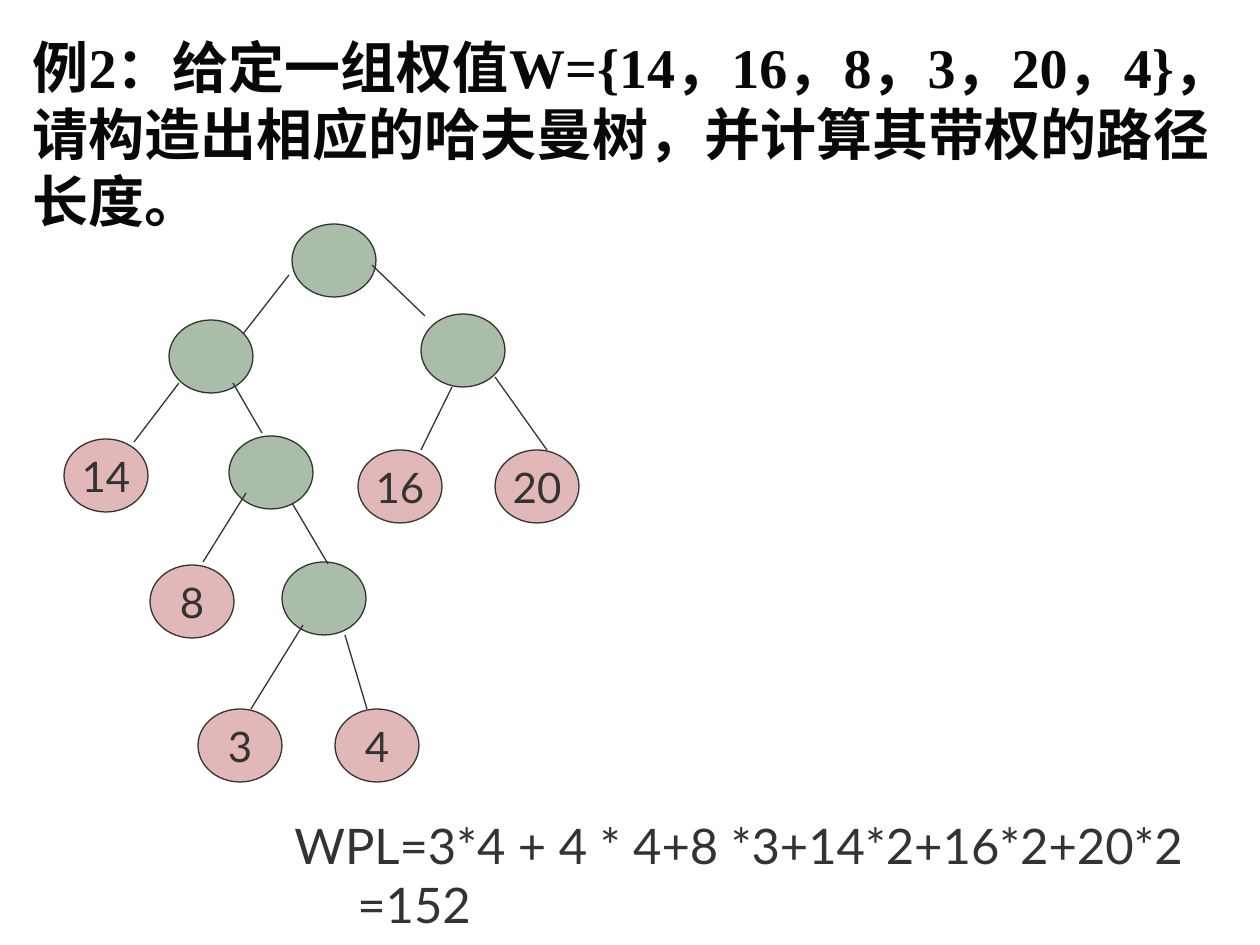
from lxml import etree
from pptx import Presentation
from pptx.dml.color import RGBColor
from pptx.enum.shapes import MSO_CONNECTOR, MSO_SHAPE
from pptx.enum.text import MSO_ANCHOR, MSO_AUTO_SIZE, PP_ALIGN
from pptx.oxml.ns import qn
from pptx.util import Pt

PX = 914400 / 126
BLACK = RGBColor(0x08, 0x08, 0x08)
GREY = RGBColor(0x33, 0x33, 0x33)
PINK = RGBColor(0xE1, 0xB7, 0xB7)
GREEN = RGBColor(0xA9, 0xBD, 0xA9)
OVAL = MSO_SHAPE.OVAL
STRAIGHT = MSO_CONNECTOR.STRAIGHT
TOP, MIDDLE = MSO_ANCHOR.TOP, MSO_ANCHOR.MIDDLE
LEFT, CENTER = PP_ALIGN.LEFT, PP_ALIGN.CENTER

TITLE_FONT = {"name": "Times New Roman", "size": Pt(32), "bold": True}
NODE_FONT = {"name": "Lato", "size": Pt(24)}
RESULT_FONT = {"name": "Lato", "size": Pt(28)}
NODE_W, NODE_H = 84, 73
RESULT_INDENT = 63


def emu(*lengths):
    """Turn px lengths into EMU."""
    return [round(length * PX) for length in lengths]


def write(paragraph, text, font_values, color, align):
    paragraph.text = text
    paragraph.alignment = align
    for attribute, value in font_values.items():
        setattr(paragraph.font, attribute, value)
    paragraph.font.color.rgb = color


prs = Presentation()
prs.slide_width, prs.slide_height = emu(1260, 945)
slide = prs.slides.add_slide(prs.slide_layouts[5])
shapes = slide.shapes

# Problem statement
question = shapes.title
question.left, question.top, question.width, question.height = emu(20, 26, 1240, 214)
question.text_frame.vertical_anchor = TOP
question.text_frame.auto_size = MSO_AUTO_SIZE.NONE
write(question.text_frame.paragraphs[0],
      "例2：给定一组权值W={14，16，8，3，20，4}，请构造出相应的哈夫曼树，并计算其带权的路径长度。",
      TITLE_FONT, BLACK, LEFT)

# Weighted path length
answer = shapes.add_textbox(*emu(282, 809, 971, 130)).text_frame
answer.word_wrap = False
write(answer.paragraphs[0], "WPL=3*4 + 4 * 4+8 *3+14*2+16*2+20*2", RESULT_FONT, GREY, LEFT)
total = answer.add_paragraph()
total._p.get_or_add_pPr().set("marL", str(emu(RESULT_INDENT)[0]))
write(total, "=152", RESULT_FONT, GREY, LEFT)

# Huffman tree: weighted leaves, then inner nodes without a label
nodes = [
    ("3", 198, 709), ("4", 335, 709), ("8", 150, 565),
    ("20", 495, 450), ("16", 358, 450), ("14", 64, 439),
    ("", 169, 320), ("", 421, 314), ("", 292, 224), ("", 229, 436), ("", 282, 562),
]
for weight, x, y in nodes:
    node = shapes.add_shape(OVAL, *emu(x, y, NODE_W, NODE_H))
    node.shadow.inherit = False
    node.fill.solid()
    node.fill.fore_color.rgb = PINK if weight else GREEN
    node.line.color.rgb = GREY
    node.line.width = Pt(0.75)
    if weight:
        node.text_frame.word_wrap = False
        node.text_frame.vertical_anchor = MIDDLE
        write(node.text_frame.paragraphs[0], weight, NODE_FONT, GREY, CENTER)

# Branches, each from child to parent
branches = [
    (251, 709, 303, 625), (367, 709, 345, 635), (328, 564, 292, 503),
    (203, 562, 246, 493), (134, 442, 179, 383), (262, 433, 233, 383),
    (421, 450, 452, 387), (547, 450, 495, 377), (425, 316, 372, 265),
    (243, 334, 289, 275),
]
for ends in branches:
    branch = shapes.add_connector(STRAIGHT, *emu(*ends))
    branch.line.color.rgb = GREY
    branch.line.width = Pt(0.75)
    etree.SubElement(branch._element.spPr, qn("a:effectLst"))

prs.save("out.pptx")
